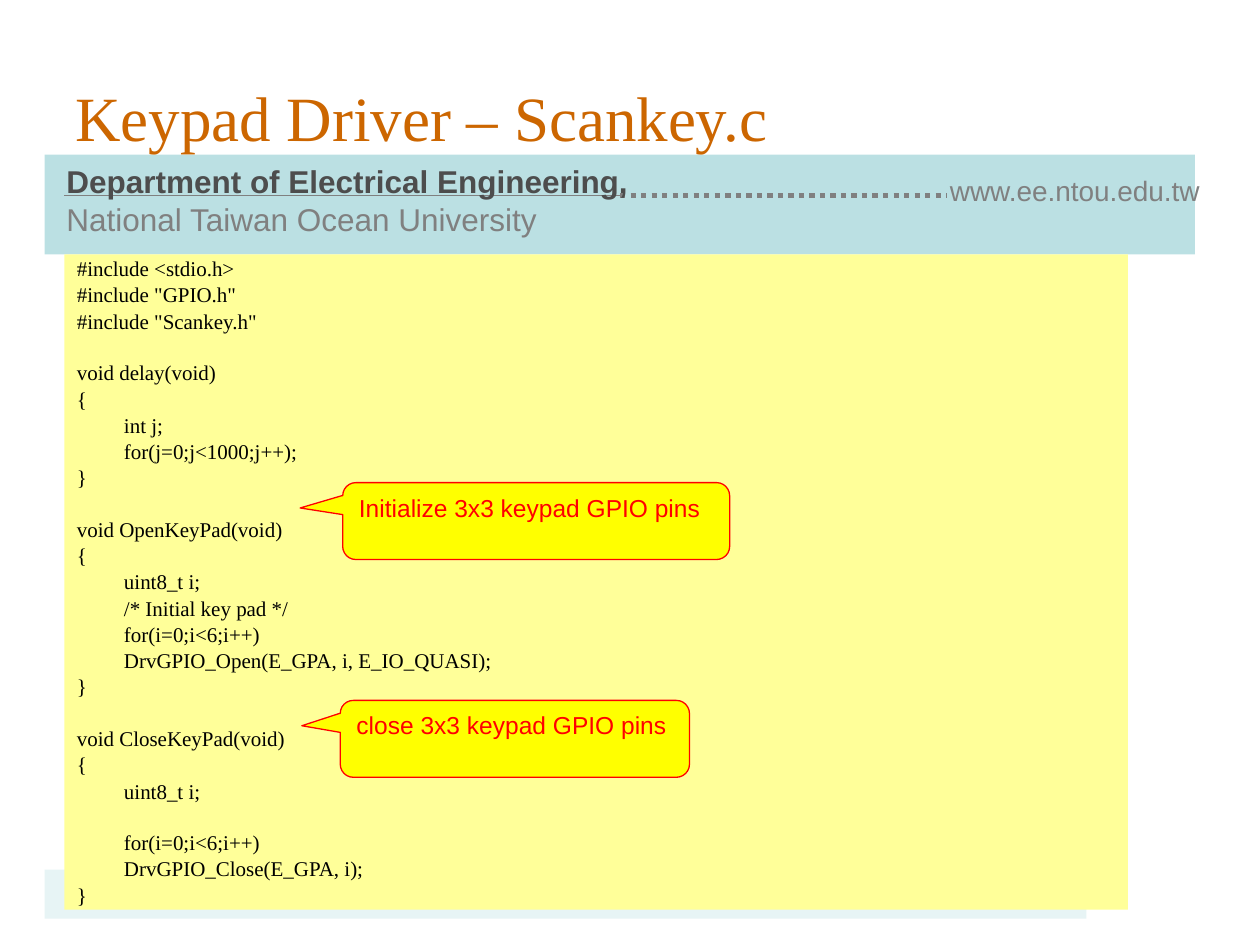
import lxml.etree
import pptx
import pptx.dml.color
import pptx.enum.dml
import pptx.enum.shapes
import pptx.enum.text
import pptx.oxml.ns
import pptx.util

Cm = pptx.util.Cm
Pt = pptx.util.Pt
SHAPE = pptx.enum.shapes.MSO_SHAPE
ANCHOR = pptx.enum.text.MSO_ANCHOR

THEME = {
    "color": {
        name: pptx.dml.color.RGBColor.from_string(value)
        for name, value in {
            "footer": "E7F4F5", "band": "BBE0E3", "grey": "808080",
            "dark": "4D4D4D", "title": "CC6600", "paper": "FFFF99",
            "code": "000000", "note": "FFFF00", "alert": "FF0000",
        }.items()
    },
    "size": {"title": Pt(36), "school": Pt(18), "web": Pt(16), "note": Pt(14), "code": Pt(12)},
    "font": {"sans": "Arial", "serif": "Times New Roman"},
}
COLOR, SIZE, FONT = THEME["color"], THEME["size"], THEME["font"]

CODE = """#include <stdio.h>
#include "GPIO.h"
#include "Scankey.h"

void delay(void)
{
\tint j;
\tfor(j=0;j<1000;j++);
}

void OpenKeyPad(void)
{
\tuint8_t i;
\t/* Initial key pad */
\tfor(i=0;i<6;i++)
\tDrvGPIO_Open(E_GPA, i, E_IO_QUASI);
}

void CloseKeyPad(void)
{
\tuint8_t i;

\tfor(i=0;i<6;i++)
\tDrvGPIO_Close(E_GPA, i);
}"""

prs = pptx.Presentation()
prs.slide_width, prs.slide_height = Cm(25.4), Cm(19.05)
s = prs.slides.add_slide(prs.slide_layouts[6])


def add_box(kind, at, fill=None, line=None, **frame):
    lengths = [Cm(v) for v in at]
    if kind is None:
        sp = s.shapes.add_textbox(*lengths)
    else:
        sp = s.shapes.add_shape(kind, *lengths)
        sp.shadow.inherit = False
        sp.fill.solid()
        sp.fill.fore_color.rgb = COLOR[fill]
        if line:
            sp.line.color.rgb = COLOR[line]
            sp.line.width = Pt(0.75)
        else:
            sp.line.fill.background()
    fmt = {"word_wrap": True, "vertical_anchor": ANCHOR.TOP} | frame
    for key, value in fmt.items():
        setattr(sp.text_frame, key, value)
    return sp


def add_run(p, text, size, font, color, bold=False):
    p.alignment = pptx.enum.text.PP_ALIGN.LEFT
    r = p.add_run()
    r.text = text
    fmt = {"size": SIZE[size], "name": FONT[font], "bold": bold}
    for key, value in fmt.items():
        setattr(r.font, key, value)
    r.font.color.rgb = COLOR[color]


add_box(SHAPE.RECTANGLE, (0.9, 17.53, 21, 0.99), "footer")
add_box(SHAPE.RECTANGLE, (0.9, 3.12, 23.19, 2.01), "band")

for end, width, dash in (
    (19.1, 3, pptx.enum.dml.MSO_LINE.ROUND_DOT),
    (1.3, 0.75, pptx.enum.dml.MSO_LINE.SOLID),
):
    ln = s.shapes.add_connector(
        pptx.enum.shapes.MSO_CONNECTOR.STRAIGHT, Cm(12.5), Cm(3.94), Cm(end), Cm(3.94)
    )
    ln.line.color.rgb = COLOR["grey"]
    ln.line.width = Pt(width)
    ln.line.dash_style = dash
    lxml.etree.SubElement(ln._element.spPr, pptx.oxml.ns.qn("a:effectLst"))

school = add_box(None, (1.09, 3.15, 14.2, 1.78))
p = school.text_frame.paragraphs[0]
add_run(p, "Department of Electrical Engineering,", "school", "sans", "dark", True)
add_run(p, " National Taiwan Ocean University", "school", "sans", "grey")

web = add_box(None, (18.9, 3.38, 5.64, 0.94), word_wrap=False)
add_run(web.text_frame.paragraphs[0], "www.ee.ntou.edu.tw", "web", "sans", "grey")

title = add_box(None, (1.27, 0.76, 22.86, 3.18), vertical_anchor=ANCHOR.MIDDLE)
add_run(title.text_frame.paragraphs[0], "Keypad Driver – Scankey.c", "title", "serif", "title")

listing = add_box(SHAPE.RECTANGLE, (1.3, 5.13, 21.44, 13.21), "paper")
tf = listing.text_frame
for i, block in enumerate(CODE.split("\n\n")):
    for j, text in enumerate(block.split("\n")):
        first = i == j == 0
        p = tf.paragraphs[0] if first else tf.add_paragraph()
        gap = 0 if first else 3.5 if j else 18
        for key, value in {"line_spacing": 0.8, "space_before": Pt(gap)}.items():
            setattr(p, key, value)
        pPr = p._p.get_or_add_pPr()
        pPr.set("marL", str(Cm(0.95)))
        pPr.set("indent", str(Cm(-0.95)))
        add_run(p, text, "code", "serif", "code")

for at, text in (
    ((6.91, 9.73, 7.8, 1.55), "Initialize 3x3 keypad GPIO pins"),
    ((6.86, 14.12, 7.04, 1.55), "close 3x3 keypad GPIO pins"),
):
    note = add_box(SHAPE.ROUNDED_RECTANGULAR_CALLOUT, at, "note", "alert")
    for i, value in enumerate((-0.61, -0.17, 0.17)):
        note.adjustments[i] = value
    add_run(note.text_frame.paragraphs[0], text, "note", "sans", "alert")

prs.save("out.pptx")
